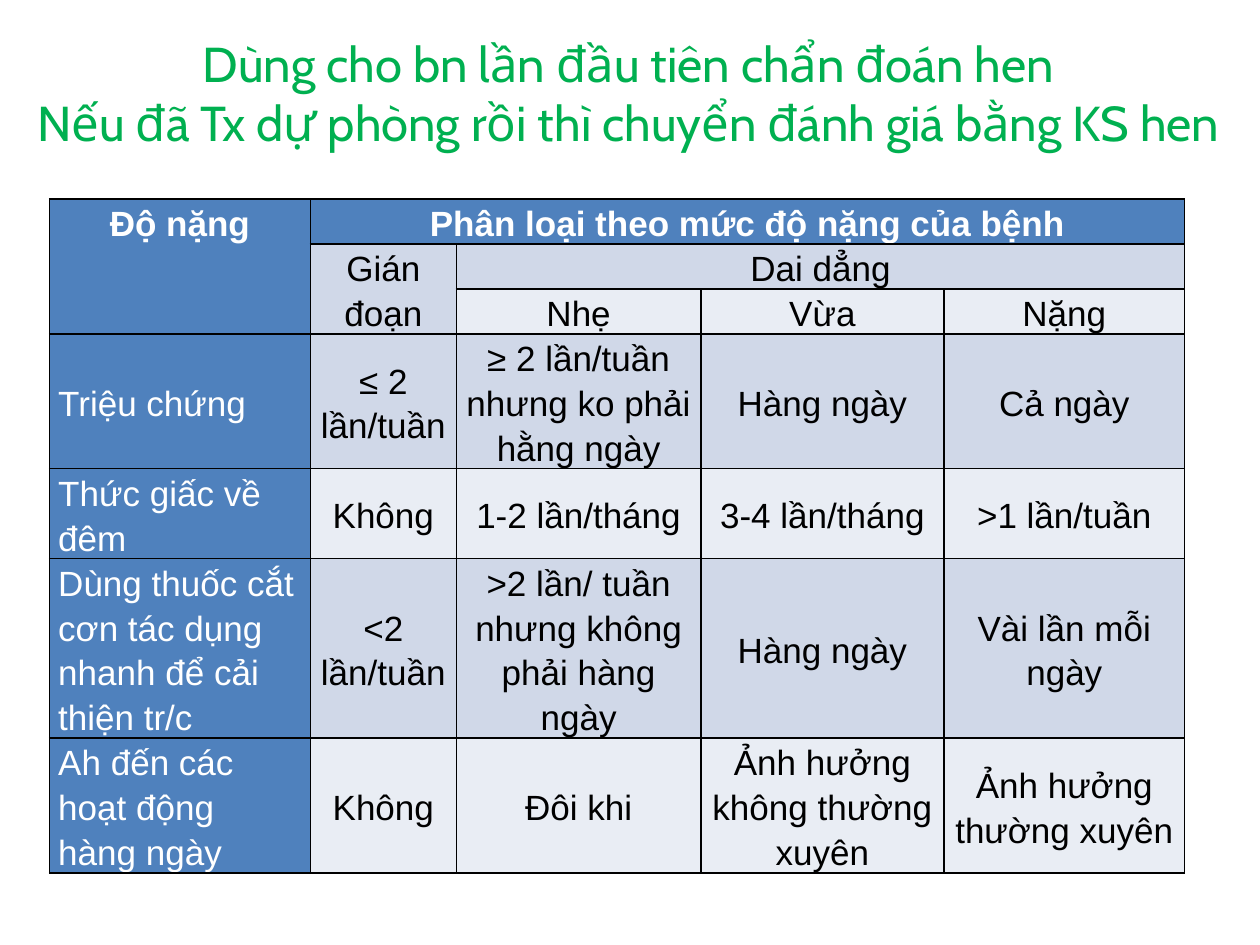
import pptx
import pptx.dml.color
import pptx.enum.text
import pptx.oxml
import pptx.oxml.ns
import pptx.util

Pt = pptx.util.Pt
ALIGN = pptx.enum.text.PP_ALIGN
ANCHOR = pptx.enum.text.MSO_ANCHOR

COLORS = {
    "title": "00B050",
    "header": "4F81BD",
    "band": "D0D8E8",
    "light": "E9EDF4",
    "white": "FFFFFF",
    "black": "000000",
}
COL_WIDTHS = [149.04, 83.52, 139.68, 138.96, 137.52]
LINE_HEIGHT = 25.6
ROW_LINES = [1, 1, 1, 3, 2, 4, 3]
ROW_FILLS = ["header", "band", "light", "band", "light", "band", "light"]
MERGES = [((0, 0), (2, 0)), ((0, 1), (0, 4)), ((1, 1), (2, 1)), ((1, 2), (1, 4))]
HEADER_ROWS = 3
ROWS = [
    ["Độ nặng", "Phân loại theo mức độ nặng của bệnh", "", "", ""],
    ["", "Gián đoạn", "Dai dẳng", "", ""],
    ["", "", "Nhẹ", "Vừa", "Nặng"],
    ["Triệu chứng", "≤ 2 lần/tuần", "≥ 2 lần/tuần nhưng ko phải hằng ngày",
     "Hàng ngày", "Cả ngày"],
    ["Thức giấc về đêm", "Không", "1-2 lần/tháng", "3-4 lần/tháng", ">1 lần/tuần"],
    ["Dùng thuốc cắt cơn tác dụng nhanh để cải thiện tr/c", "<2 lần/tuần",
     ">2 lần/ tuần nhưng không phải hàng ngày", "Hàng ngày", "Vài lần mỗi ngày"],
    ["Ah đến các hoạt động hàng ngày", "Không", "Đôi khi",
     "Ảnh hưởng không thường xuyên", "Ảnh hưởng thường xuyên"],
]


def rgb(name):
    """Return the named colour as an RGBColor."""
    return pptx.dml.color.RGBColor.from_string(COLORS[name])


def write_text(tf, text, font="Arial", size=20, color="black", bold=False,
               align=ALIGN.CENTER, spacing=None):
    """Write one paragraph, with a line break at each newline."""
    p = tf.paragraphs[0]
    p.alignment = align
    if spacing:
        p.line_spacing = spacing
    for i, line in enumerate(text.split("\n")):
        if i:
            p.add_line_break()
        r = p.add_run()
        r.text = line
        r.font.name = font
        r.font.size = Pt(size)
        r.font.bold = bold
        r.font.color.rgb = rgb(color)


def add_borders(cell, color="black", width=1):
    """Draw a solid line on all four sides of a cell."""
    ns = pptx.oxml.ns.nsdecls("a")
    for side in ("lnL", "lnR", "lnT", "lnB"):
        cell._tc.get_or_add_tcPr().append(pptx.oxml.parse_xml(
            f'<a:{side} {ns} w="{Pt(width)}"><a:solidFill>'
            f'<a:srgbClr val="{COLORS[color]}"/></a:solidFill></a:{side}>'))


def format_cell(cell, fill, anchor):
    """Set the borders, fill, margins and anchor of a cell."""
    add_borders(cell)
    cell.fill.solid()
    cell.fill.fore_color.rgb = rgb(fill)
    cell.margin_left = cell.margin_right = Pt(5)
    cell.margin_top = cell.margin_bottom = 0
    cell.vertical_anchor = anchor


def place_title(s, left, top, width, height):
    """Fill the title placeholder inside the given box."""
    sp = s.shapes.title
    sp.left, sp.top, sp.width, sp.height = map(Pt, (left, top, width, height))
    tf = sp.text_frame
    tf.word_wrap = True
    tf.auto_size = pptx.enum.text.MSO_AUTO_SIZE.NONE
    tf.vertical_anchor = ANCHOR.MIDDLE
    write_text(tf, "Dùng cho bn lần đầu tiên chẩn đoán hen\n"
               "Nếu đã Tx dự phòng rồi thì chuyển đánh giá bằng KS hen",
               font="Cabin", size=28, color="title")


def place_severity_table(s, left, top):
    """Add the asthma severity table with its top left corner at the given point."""
    heights = [LINE_HEIGHT * n for n in ROW_LINES]
    table = s.shapes.add_table(len(ROWS), len(COL_WIDTHS), Pt(left), Pt(top),
                               Pt(sum(COL_WIDTHS)), Pt(sum(heights))).table
    for column, width in zip(table.columns, COL_WIDTHS):
        column.width = Pt(width)
    for row, height in zip(table.rows, heights):
        row.height = Pt(height)
    for i, texts in enumerate(ROWS):
        body = i >= HEADER_ROWS
        for j, text in enumerate(texts):
            cell = table.cell(i, j)
            fill = "header" if j == 0 else ROW_FILLS[i]
            format_cell(cell, fill, ANCHOR.MIDDLE if body else ANCHOR.TOP)
            if text:
                write_text(cell.text_frame, text, bold=i == 0, spacing=1.15,
                           color="white" if fill == "header" else "black",
                           align=ALIGN.LEFT if body and j == 0 else ALIGN.CENTER)
    for first, last in MERGES:
        table.cell(*first).merge(table.cell(*last))


def main():
    """Build the slide and save it."""
    prs = pptx.Presentation()
    prs.slide_width, prs.slide_height = Pt(720), Pt(540)
    s = prs.slides.add_slide(prs.slide_layouts[5])
    place_severity_table(s, 28.3, 113.8)
    place_title(s, 8, 11, 702, 83.5)
    prs.save("out.pptx")


if __name__ == "__main__":
    main()
